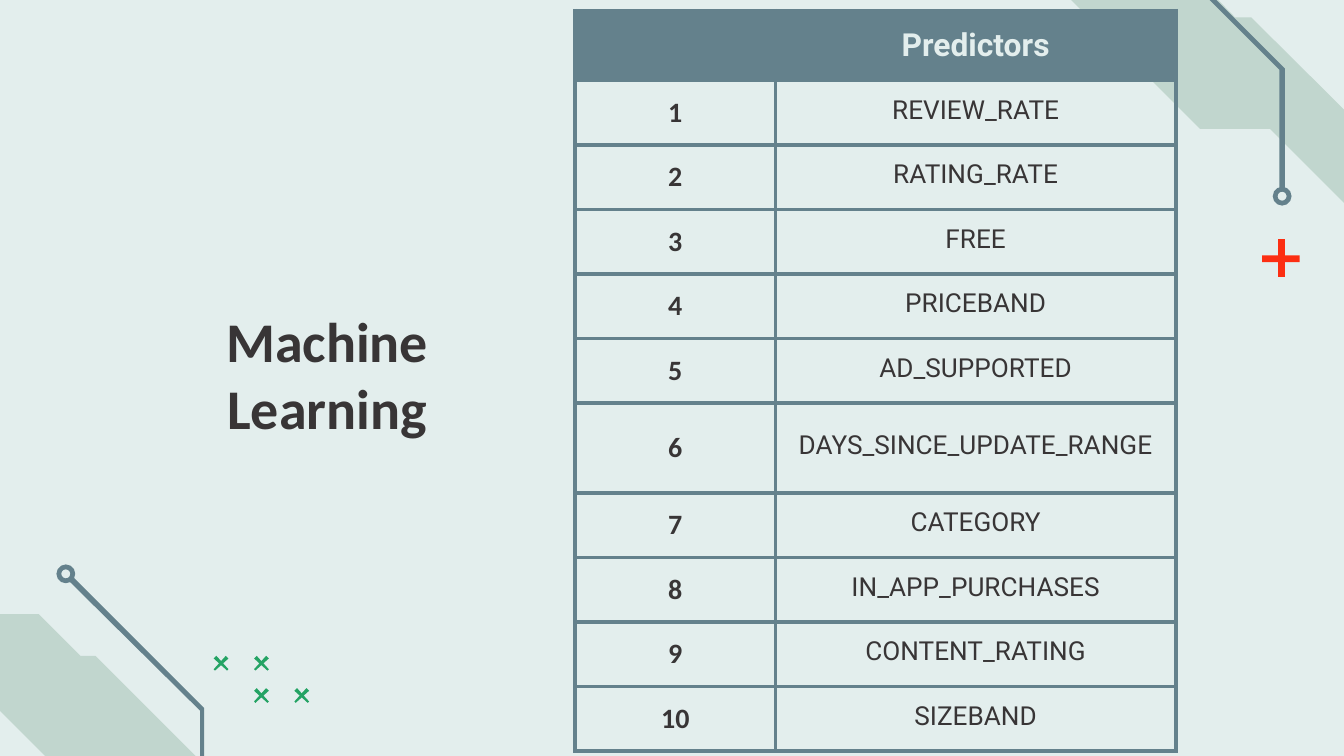
from pptx import Presentation
from pptx.dml.color import RGBColor
from pptx.enum.shapes import MSO_SHAPE
from pptx.enum.text import MSO_ANCHOR, PP_ALIGN
from pptx.oxml import parse_xml
from pptx.oxml.ns import nsdecls
from pptx.util import Inches, Pt

RECT, DONUT = MSO_SHAPE.RECTANGLE, MSO_SHAPE.DONUT
CENTER, TOP, MIDDLE = PP_ALIGN.CENTER, MSO_ANCHOR.TOP, MSO_ANCHOR.MIDDLE

BG, SAGE, SLATE = "E3EEED", "C1D6CE", "64818C"
GREEN, RED, INK = "24A364", "FC2E12", "383536"

LOWER_BAND = [(0.29, 4.57), (0.6, 4.88), (0.71, 4.88), (2.01, 6.18), (1.37, 6.18),
              (0.84, 5.65), (0.36, 5.65), (-0.72, 4.57)]
UPPER_BAND = [(8.86, -0.21), (9.19, 0.13), (9.31, 0.13), (10.72, 1.53), (10.02, 1.53),
              (9.45, 0.96), (8.93, 0.96), (7.77, -0.2)]
LOWER_TRACE = [(4.6, 6.95), (4.11, 6.46), (3.54, 6.46), (2.89, 7.11), (2.58, 7.11),
               (1.52, 6.06), (1.52, 5.27), (0.54, 4.29), (0.51, 4.32), (1.49, 5.29),
               (1.49, 6.08), (2.56, 7.15), (2.9, 7.15), (3.55, 6.49), (4.09, 6.49),
               (4.57, 6.97)]
UPPER_TRACE = [(9.52, 1.41), (9.52, 0.52), (8.16, -0.84), (7.4, -0.84), (6.39, -1.85),
               (6.42, -1.88), (7.42, -0.87), (8.18, -0.87), (9.56, 0.51), (9.56, 1.41)]
CROSS_STROKE = [(0.09, 0), (0.11, 0.02), (0.01, 0.11), (0, 0.1)]
CROSS_SIZE = 0.11
CROSSES = [(1.89, 5.12), (2.19, 5.12), (1.59, 4.88), (1.89, 4.88)]

PREDICTORS = ["REVIEW_RATE", "RATING_RATE", "FREE", "PRICEBAND", "AD_SUPPORTED",
              "DAYS_SINCE_UPDATE_RANGE", "CATEGORY", "IN_APP_PURCHASES",
              "CONTENT_RATING", "SIZEBAND"]
ROW_HEIGHTS = [0.52] + [0.48] * 5 + [0.67] + [0.48] * 4


def rgb(value):
    return RGBColor.from_string(value)


class Deck:
    """Holds the slide in progress and the style of its elements."""

    def __init__(self):
        self.prs = Presentation()
        self.prs.slide_width = Inches(10)
        self.prs.slide_height = Inches(10 * 9 / 16)
        self.s = self.prs.slides.add_slide(self.prs.slide_layouts[6])
        self.fill(self.s.background, BG)

    def fill(self, target, color):
        target.fill.solid()
        target.fill.fore_color.rgb = rgb(color)

    def paint(self, sp, color):
        self.fill(sp, color)
        sp.line.fill.background()
        sp.shadow.inherit = False
        return sp

    def polygon(self, points, color):
        pts = [(Inches(x), Inches(y)) for x, y in points]
        builder = self.s.shapes.build_freeform(*pts[0], scale=1.0)
        builder.add_line_segments(pts[1:], close=True)
        return self.paint(builder.convert_to_shape(), color)

    def shape(self, kind, x, y, w, h, color):
        sp = self.s.shapes.add_shape(kind, Inches(x), Inches(y), Inches(w), Inches(h))
        return self.paint(sp, color)

    def ring(self, cx, cy):
        self.shape(DONUT, cx - 0.07, cy - 0.07, 0.14, 0.14, SLATE).adjustments[0] = 0.26

    def cross(self, x, y):
        self.polygon([(x + dx, y + dy) for dx, dy in CROSS_STROKE], GREEN)
        self.polygon([(x + CROSS_SIZE - dx, y + dy) for dx, dy in CROSS_STROKE], GREEN)

    def run(self, p, text, size, font, color, bold):
        p.alignment = CENTER
        r = p.add_run()
        r.text = text
        r.font.size, r.font.name, r.font.bold = Pt(size), font, bold
        r.font.color.rgb = rgb(color)

    def title(self, x, y, w, h, lines):
        box = self.s.shapes.add_textbox(Inches(x), Inches(y), Inches(w), Inches(h))
        tf = box.text_frame
        tf.word_wrap, tf.vertical_anchor = True, TOP
        tf.margin_left = tf.margin_right = tf.margin_top = tf.margin_bottom = Inches(0.1)
        for i, line in enumerate(lines):
            p = tf.add_paragraph() if i else tf.paragraphs[0]
            self.run(p, line, 30, "Calibri", INK, True)

    def table(self, x, y, col_width, heights):
        table = self.s.shapes.add_table(len(heights), 3, Inches(x), Inches(y),
                                        Inches(3 * col_width), Inches(sum(heights))).table
        for col in table.columns:
            col.width = Inches(col_width)
        for i, (row, height) in enumerate(zip(table.rows, heights)):
            row.height = Inches(height)
            for cell in row.cells:
                if i:
                    cell.fill.background()
                else:
                    self.fill(cell, SLATE)
                self.borders(cell)
            table.cell(i, 1).merge(table.cell(i, 2))
        return table

    def borders(self, cell):
        tcPr = cell._tc.get_or_add_tcPr()
        for i, side in enumerate("LRTB"):
            tcPr.insert(i, parse_xml(
                f'<a:ln{side} {nsdecls("a")} w="{Pt(2.25)}"><a:solidFill>'
                f'<a:srgbClr val="{SLATE}"/></a:solidFill></a:ln{side}>'))

    def cell_text(self, cell, text, size, font, color=INK, bold=False, top=0.1):
        cell.vertical_anchor = MIDDLE
        cell.margin_left = cell.margin_right = cell.margin_bottom = Inches(0.1)
        cell.margin_top = Inches(top)
        self.run(cell.text_frame.paragraphs[0], text, size, font, color, bold)


def main():
    deck = Deck()
    deck.polygon(LOWER_BAND, SAGE)
    for x, y in CROSSES:
        deck.cross(x, y)
    deck.ring(0.49, 4.27)
    deck.polygon(LOWER_TRACE, SLATE)
    deck.polygon(UPPER_BAND, SAGE)
    deck.ring(9.54, 1.46)
    deck.polygon(UPPER_TRACE, SLATE)
    deck.shape(RECT, 9.51, 1.78, 0.05, 0.28, RED)
    deck.shape(RECT, 9.39, 1.9, 0.28, 0.05, RED)

    deck.title(-1.78, 2.18, 8.43, 1.32, ["Machine", "Learning"])
    table = deck.table(4.28, 0.08, 1.49, ROW_HEIGHTS)
    deck.cell_text(table.cell(0, 1), "Predictors", 17, "Roboto", BG, True)
    for i, name in enumerate(PREDICTORS, 1):
        deck.cell_text(table.cell(i, 0), str(i), 15, "Calibri", bold=True)
        deck.cell_text(table.cell(i, 1), name, 14, "Roboto", top=0.06)
    deck.prs.save("out.pptx")


if __name__ == "__main__":
    main()
